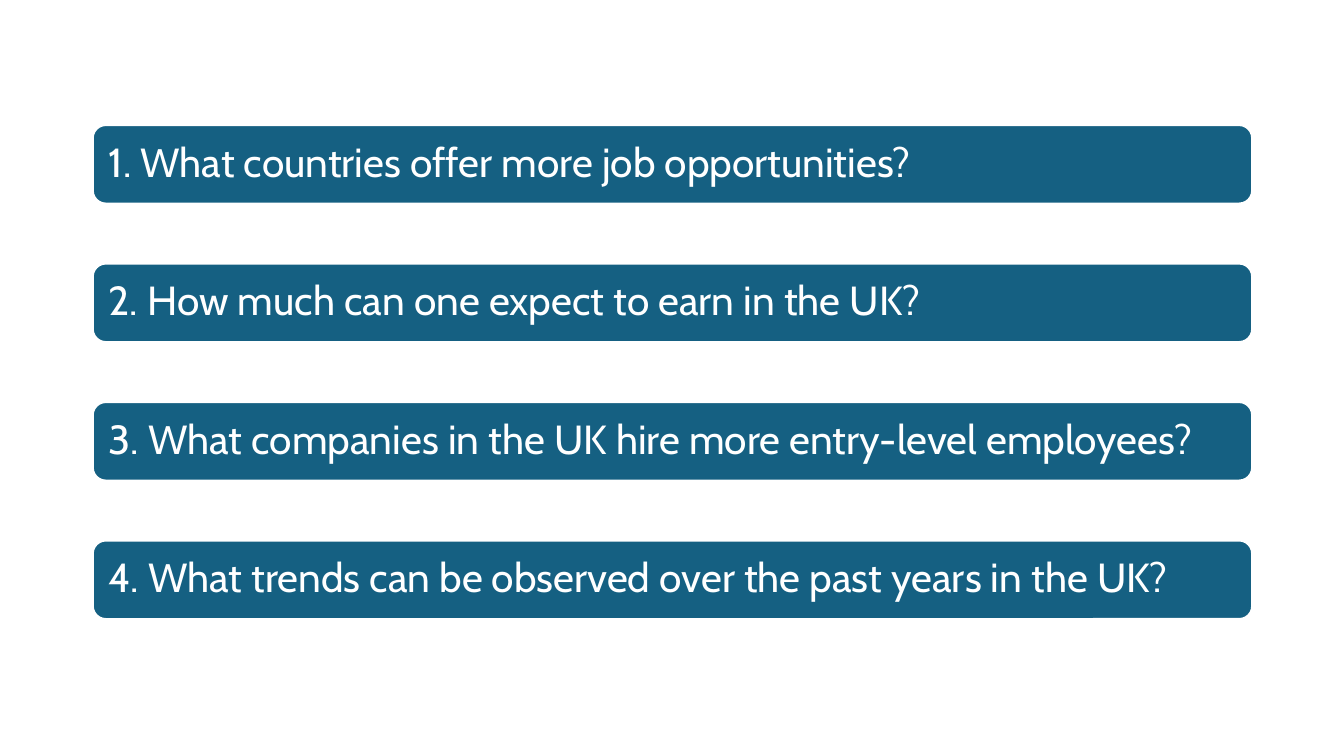
from pptx import Presentation
from pptx.dml.color import RGBColor
from pptx.enum.shapes import MSO_SHAPE
from pptx.enum.text import MSO_ANCHOR, PP_ALIGN
from pptx.util import Inches, Pt

COLORS = {"bar": "156082", "white": "FFFFFF"}
QUESTIONS = [
    "What countries offer more job opportunities?",
    "How much can one expect to earn in the UK?",
    "What companies in the UK hire more entry-level employees?",
    "What trends can be observed over the past years in the UK?",
]
LEFT, TOP, WIDTH, HEIGHT = 0.92, 1.24, 11.5, 0.78
ROW_STEP = 1.374
CORNER_RADIUS = 0.13
MARGIN = 0.12


def write_text(box, text, *, font, size, color, margin, line_spacing):
    frame = box.text_frame
    frame.word_wrap = True
    frame.vertical_anchor = MSO_ANCHOR.MIDDLE
    frame.margin_left = frame.margin_right = Inches(margin)
    frame.margin_top = frame.margin_bottom = Inches(margin)
    para = frame.paragraphs[0]
    para.alignment = PP_ALIGN.LEFT
    para.line_spacing = line_spacing
    span = para.add_run()
    span.text = text
    span.font.name = font
    span.font.size = Pt(size)
    span.font.color.rgb = RGBColor.from_string(color)


deck = Presentation()
deck.slide_width = Inches(13.33)
deck.slide_height = Inches(7.5)
page = deck.slides.add_slide(deck.slide_layouts[6])

for row, question in enumerate(QUESTIONS):
    bar = page.shapes.add_shape(
        MSO_SHAPE.ROUNDED_RECTANGLE,
        Inches(LEFT), Inches(TOP + row * ROW_STEP), Inches(WIDTH), Inches(HEIGHT),
    )
    bar.adjustments[0] = CORNER_RADIUS / HEIGHT
    bar.shadow.inherit = False
    bar.fill.solid()
    bar.fill.fore_color.rgb = RGBColor.from_string(COLORS["bar"])
    bar.line.color.rgb = RGBColor.from_string(COLORS["white"])
    bar.line.width = Pt(1.5)
    write_text(bar, f"{row + 1}. {question}", font="Cabin", size=29,
               color=COLORS["white"], margin=MARGIN, line_spacing=0.9)

deck.save("out.pptx")
